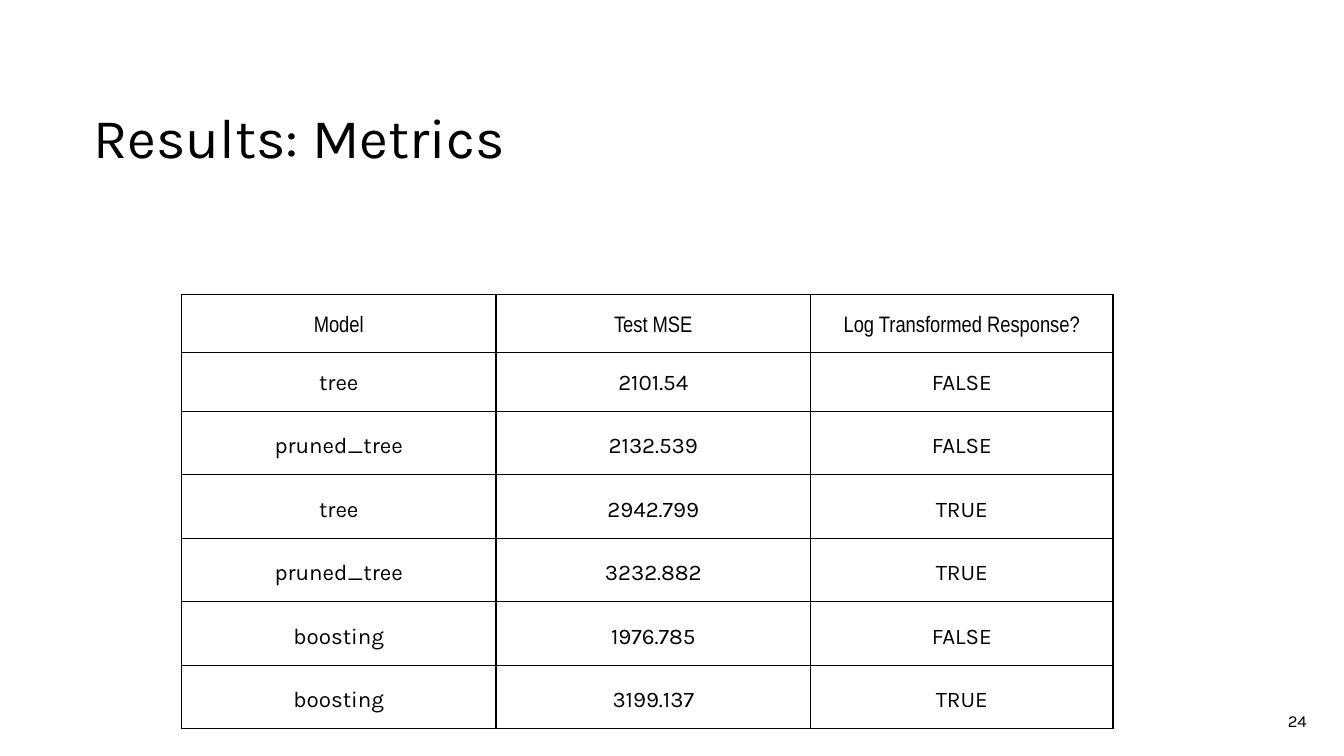
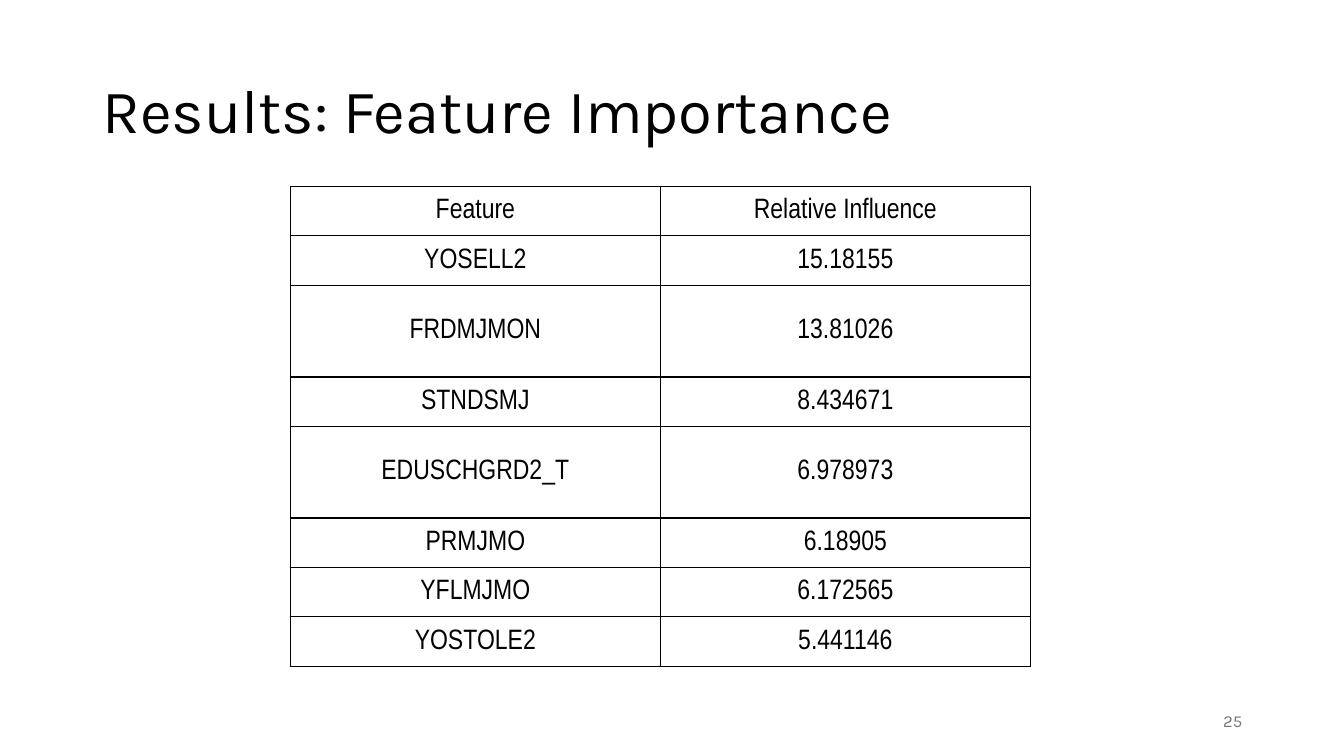
import pptx
import pptx.util
import pptx.dml.color
import pptx.enum.shapes
import pptx.enum.text
import pptx.oxml.ns
from lxml import etree
from pptx.util import Inches

COLORS = {"background": "FFFFFF", "text": "000000", "muted": "797979", "border": "000000"}
BODY_FONT = "Karla"
TABLE_FONT = "Arial Narrow"
ALIGN = pptx.enum.text.PP_ALIGN
ANCHOR = pptx.enum.text.MSO_ANCHOR


def rgb(name):
    return pptx.dml.color.RGBColor.from_string(COLORS[name])


class Deck:
    """Holds the shared style and the current slide."""

    def __init__(self):
        self.presentation = pptx.Presentation()
        self.presentation.slide_width = Inches(13.33)
        self.presentation.slide_height = Inches(7.5)
        self.slide = None

    def new_slide(self):
        self.slide = self.presentation.slides.add_slide(self.presentation.slide_layouts[6])
        fill = self.slide.background.fill
        fill.solid()
        fill.fore_color.rgb = rgb("background")

    def add_run(self, paragraph, text, size, font=BODY_FONT, color="text"):
        run = paragraph.add_run()
        run.text = text
        run.font.size = pptx.util.Pt(size)
        run.font.name = font
        run.font.color.rgb = rgb(color)

    def text_box(self, box, text, size, align=ALIGN.LEFT, color="text"):
        shape = self.slide.shapes.add_textbox(*map(Inches, box))
        frame = shape.text_frame
        frame.word_wrap = True
        frame.vertical_anchor = ANCHOR.MIDDLE
        paragraph = frame.paragraphs[0]
        paragraph.alignment = align
        self.add_run(paragraph, text, size, color=color)
        return paragraph

    def title(self, box, text, size):
        self.text_box(box, text, size).line_spacing = 0.9

    def slide_number(self, box, number, color="text"):
        return self.text_box(box, number, 12, ALIGN.RIGHT, color)

    def band(self, box):
        shape = self.slide.shapes.add_shape(
            pptx.enum.shapes.MSO_SHAPE.RECTANGLE, *map(Inches, box))
        shape.shadow.inherit = False
        shape.fill.solid()
        shape.fill.fore_color.rgb = rgb("background")
        shape.line.fill.background()

    def cell_borders(self, cell):
        properties = cell._tc.get_or_add_tcPr()
        qn = pptx.oxml.ns.qn
        for side in ("lnL", "lnR", "lnT", "lnB"):
            line = etree.SubElement(properties, qn(f"a:{side}"), w=str(pptx.util.Pt(1)))
            fill = etree.SubElement(line, qn("a:solidFill"))
            etree.SubElement(fill, qn("a:srgbClr"), val=COLORS["border"])

    def table(self, left, top, widths, heights, rows, size, anchor, margins, row_font=TABLE_FONT):
        box = (left, top, sum(widths), sum(heights))
        table = self.slide.shapes.add_table(
            len(rows), len(widths), *map(Inches, box)).table
        table.first_row = table.horz_banding = False
        for column, width in zip(table.columns, widths):
            column.width = Inches(width)
        for row, height in zip(table.rows, heights):
            row.height = Inches(height)
        for row_index, values in enumerate(rows):
            font = row_font if row_index else TABLE_FONT
            for column_index, value in enumerate(values):
                cell = table.cell(row_index, column_index)
                self.cell_borders(cell)
                cell.fill.solid()
                cell.fill.fore_color.rgb = rgb("background")
                cell.vertical_anchor = anchor
                (cell.margin_left, cell.margin_top,
                 cell.margin_right, cell.margin_bottom) = map(Inches, margins)
                paragraph = cell.text_frame.paragraphs[0]
                paragraph.alignment = ALIGN.CENTER
                self.add_run(paragraph, value, size, font)


def metrics_slide(deck):
    deck.new_slide()
    deck.band((0, 0, 13.33, 2.78))
    deck.title((0.83, 0.51, 10.9, 1.77), "Results: Metrics", 40)
    number = deck.slide_number((9.55, 6.95, 3.51, 0.4), "24")
    number.space_after = pptx.util.Pt(6)
    rows = [
        ("Model", "Test MSE", "Log Transformed Response?"),
        ("tree", "2101.54", "FALSE"),
        ("pruned_tree", "2132.539", "FALSE"),
        ("tree", "2942.799", "TRUE"),
        ("pruned_tree", "3232.882", "TRUE"),
        ("boosting", "1976.785", "FALSE"),
        ("boosting", "3199.137", "TRUE"),
    ]
    deck.table(1.8, 2.92, [3.12, 3.12, 3], [0.58] * 2 + [0.63] * 5, rows, 16,
               ANCHOR.BOTTOM, [0.15] * 4, row_font=BODY_FONT)


def importance_slide(deck):
    deck.new_slide()
    deck.title((0.92, 0.4, 11.5, 1.45), "Results: Feature Importance", 44)
    rows = [
        ("Feature", "Relative Influence"),
        ("YOSELL2", "15.18155"),
        ("FRDMJMON", "13.81026"),
        ("STNDSMJ", "8.434671"),
        ("EDUSCHGRD2_T", "6.978973"),
        ("PRMJMO", "6.18905"),
        ("YFLMJMO", "6.172565"),
        ("YOSTOLE2", "5.441146"),
    ]
    tall_rows = ("FRDMJMON", "EDUSCHGRD2_T")
    heights = [0.91 if feature in tall_rows else 0.49 for feature, _ in rows]
    deck.table(2.88, 1.85, [3.67] * 2, heights, rows, 20,
               ANCHOR.MIDDLE, [0.01, 0.01, 0.01, 0])
    deck.slide_number((9.42, 6.95, 3, 0.4), "25", "muted")


def main():
    deck = Deck()
    metrics_slide(deck)
    importance_slide(deck)
    deck.presentation.save("out.pptx")


if __name__ == "__main__":
    main()
